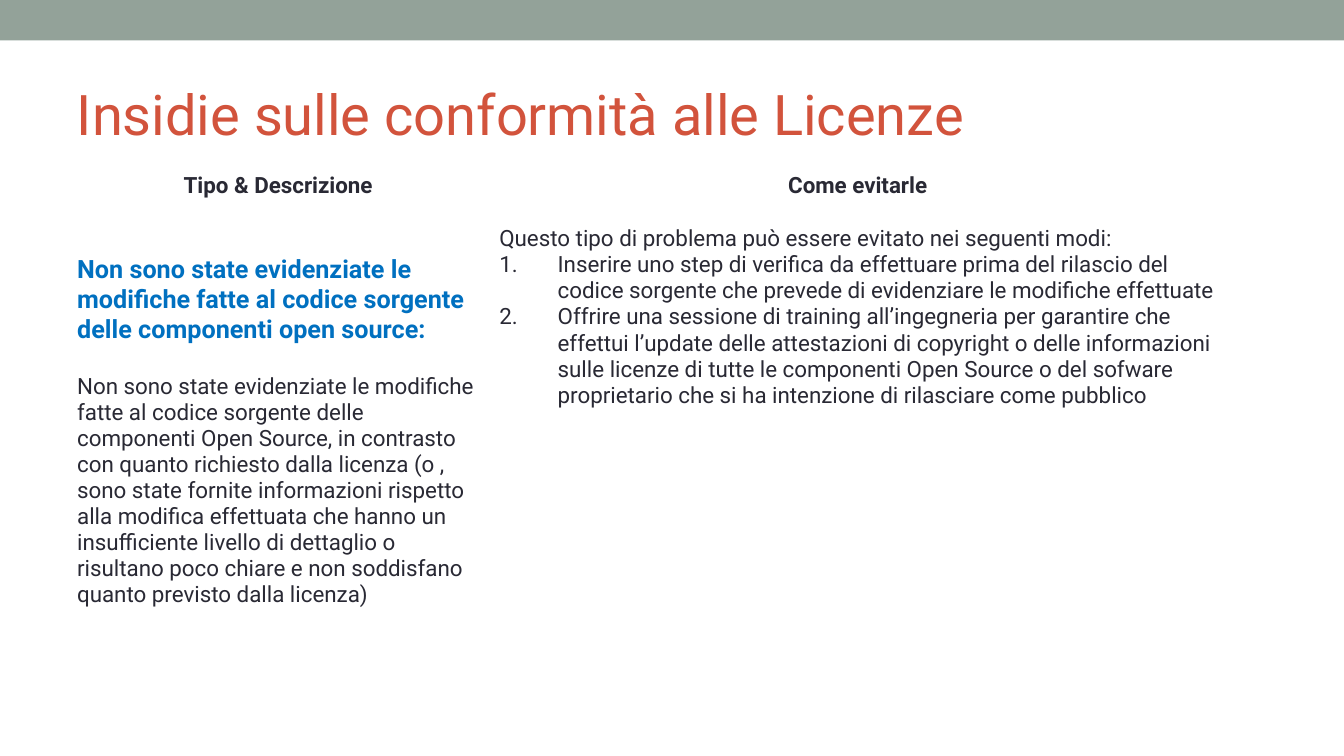
"""Build a slide on licence compliance pitfalls and how to avoid them."""
from dataclasses import dataclass

from lxml import etree
from pptx import Presentation
from pptx import util as u
from pptx.dml import color
from pptx.enum import shapes, text
from pptx.oxml import ns

FONT = "Roboto"
COLORS = {
    "bar": "93A299",
    "title": "D2533C",
    "ink": "292934",
    "accent": "0070C0",
    "paper": "FFFFFF",
}
COLUMN_WIDTHS = (10.64, 18.57)
ROW_HEIGHTS = (1.35, 11.38)
BORDER_WIDTH = u.Pt(0.06)


@dataclass(frozen=True)
class Para:
    wording: str
    size: float = 16
    ink: str = "ink"
    bold: bool = False
    centered: bool = False
    indent: float = 0
    numbered: bool = False
    before: float = 0


@dataclass(frozen=True)
class Cell:
    paras: tuple[Para, ...]
    top: float = 0.13


HANGING = 1.47
TITLE = Para("Insidie sulle conformità alle Licenze", size=40, ink="title")
ROWS = (
    (
        Cell((Para("Tipo & Descrizione", bold=True, centered=True, indent=0.95),)),
        Cell((Para("Come evitarle", bold=True, centered=True, indent=HANGING),)),
    ),
    (
        Cell((
            Para("Non sono state evidenziate le", 18, "accent", True),
            Para("modifiche fatte al codice sorgente delle componenti open source:",
                 18, "accent", True),
            Para("Non sono state evidenziate le modifiche fatte al codice sorgente "
                 "delle componenti Open Source, in contrasto con quanto richiesto "
                 "dalla licenza (o , sono state fornite informazioni rispetto alla "
                 "modifica effettuata che hanno un insufficiente livello di dettaglio "
                 "o risultano poco chiare e non soddisfano quanto previsto dalla "
                 "licenza)", before=21),
        ), top=0.87),
        Cell((
            Para("Questo tipo di problema può essere evitato nei seguenti modi:",
                 indent=HANGING),
            Para("Inserire uno step di verifica da effettuare prima del rilascio del "
                 "codice sorgente che prevede di evidenziare le modifiche effettuate",
                 indent=HANGING, numbered=True),
            Para("Offrire una sessione di training all’ingegneria per garantire che "
                 "effettui l’update delle attestazioni di copyright o delle "
                 "informazioni sulle licenze di tutte le componenti Open Source o del "
                 "sofware proprietario che si ha intenzione di rilasciare come "
                 "pubblico", indent=HANGING, numbered=True),
        )),
    ),
)


def rgb(name: str) -> color.RGBColor:
    """Return the named colour."""
    return color.RGBColor.from_string(COLORS[name])


def add_solid_fill(parent, tag: str, name: str) -> None:
    """Append a solid colour, wrapped in the given tag, to an XML element."""
    holder = etree.SubElement(parent, ns.qn(tag))
    etree.SubElement(holder, ns.qn("a:srgbClr"), val=COLORS[name])


def write_paras(frame, paras: tuple[Para, ...]) -> None:
    """Write the paragraphs into a text frame."""
    for index, para in enumerate(paras):
        line = frame.add_paragraph() if index else frame.paragraphs[0]
        line.alignment = (text.PP_ALIGN.CENTER if para.centered
                          else text.PP_ALIGN.LEFT)
        line.space_before = u.Pt(para.before)
        span = line.add_run()
        span.text = para.wording
        span.font.name = FONT
        span.font.size = u.Pt(para.size)
        span.font.bold = para.bold
        span.font.color.rgb = rgb(para.ink)
        props = line._p.get_or_add_pPr()
        if para.indent:
            props.set("marL", str(u.Cm(para.indent)))
            props.set("indent", str(-u.Cm(para.indent)))
        if para.numbered:
            add_solid_fill(props, "a:buClr", para.ink)
            etree.SubElement(props, ns.qn("a:buFont"), typeface=FONT)
            etree.SubElement(props, ns.qn("a:buAutoNum"), type="arabicPeriod")


def set_borders(cell, name: str) -> None:
    """Outline a table cell on its four sides."""
    props = cell._tc.get_or_add_tcPr()
    for position, side in enumerate(("a:lnL", "a:lnR", "a:lnT", "a:lnB")):
        edge = etree.Element(ns.qn(side), w=str(BORDER_WIDTH))
        add_solid_fill(edge, "a:solidFill", name)
        props.insert(position, edge)


def add_bar(page) -> None:
    """Draw the band along the top edge."""
    bar = page.shapes.add_shape(shapes.MSO_SHAPE.RECTANGLE,
                                0, 0, u.Cm(33.87), u.Cm(1.02))
    bar.shadow.inherit = False
    bar.fill.solid()
    bar.fill.fore_color.rgb = rgb("bar")
    bar.line.fill.background()


def add_title(page) -> None:
    """Write the slide title."""
    box = page.shapes.add_textbox(u.Cm(1.69), u.Cm(1.48), u.Cm(30.48), u.Cm(2.74))
    frame = box.text_frame
    frame.word_wrap = True
    frame.vertical_anchor = text.MSO_ANCHOR.MIDDLE
    write_paras(frame, (TITLE,))


def add_pitfalls(page) -> None:
    """Build the table of pitfalls and remedies."""
    table = page.shapes.add_table(
        len(ROWS), len(COLUMN_WIDTHS), u.Cm(1.69), u.Cm(4.22),
        u.Cm(sum(COLUMN_WIDTHS)), u.Cm(sum(ROW_HEIGHTS))).table
    table.first_row = False
    table.horz_banding = False
    for column, width in zip(table.columns, COLUMN_WIDTHS):
        column.width = u.Cm(width)
    for row, height, contents in zip(table.rows, ROW_HEIGHTS, ROWS):
        row.height = u.Cm(height)
        for cell, content in zip(row.cells, contents):
            cell.margin_top = u.Cm(content.top)
            cell.fill.solid()
            cell.fill.fore_color.rgb = rgb("paper")
            set_borders(cell, "paper")
            write_paras(cell.text_frame, content.paras)


def main() -> None:
    """Create and save the deck."""
    deck = Presentation()
    deck.slide_width = u.Cm(33.87)
    deck.slide_height = u.Cm(19.05)
    page = deck.slides.add_slide(deck.slide_layouts[6])
    add_bar(page)
    add_title(page)
    add_pitfalls(page)
    deck.save("out.pptx")


if __name__ == "__main__":
    main()
